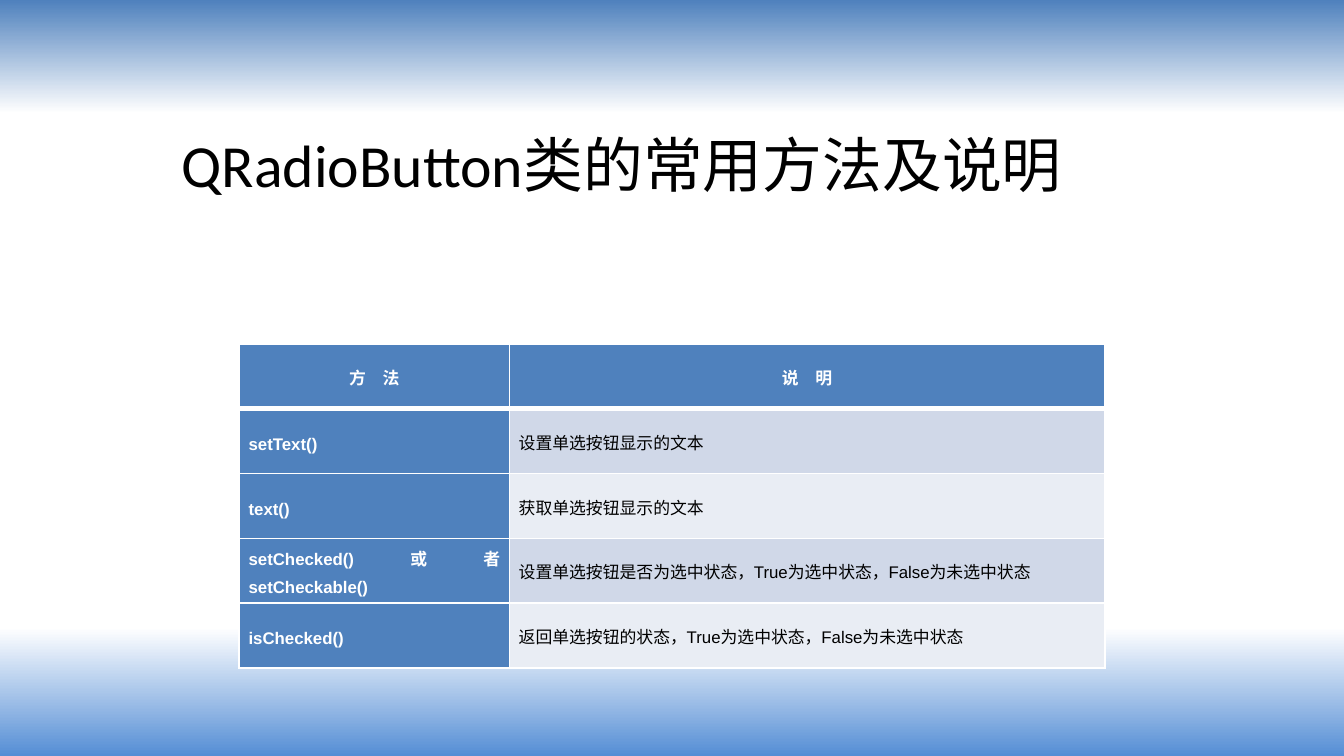
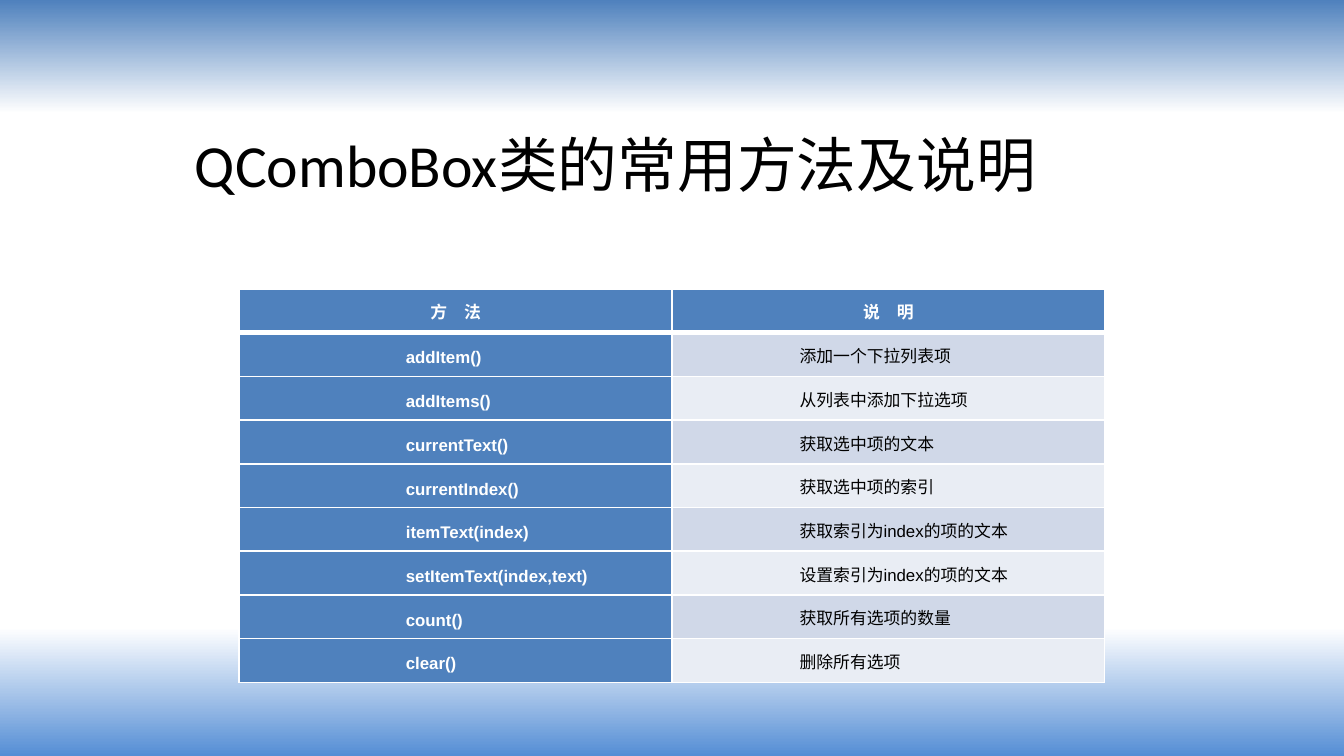
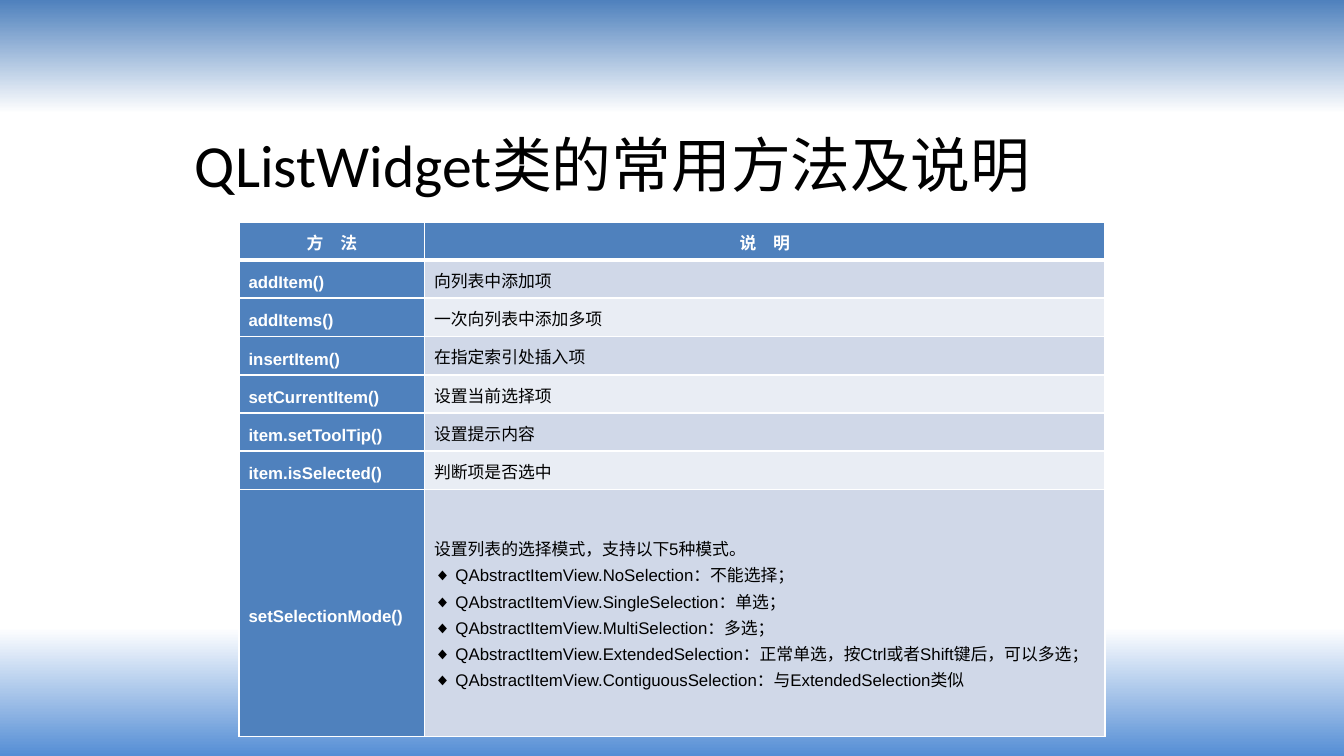
from lxml.etree import SubElement
from pptx import Presentation
from pptx.dml.color import RGBColor
from pptx.enum.text import MSO_ANCHOR, MSO_AUTO_SIZE, PP_ALIGN
from pptx.oxml.ns import qn
from pptx.util import Inches, Pt

BLUE = RGBColor(0x4F, 0x81, 0xBD)
BRIGHT_BLUE = RGBColor(0x55, 0x8E, 0xD5)
BAND_DARK = RGBColor(0xD0, 0xD8, 0xE8)
BAND_LIGHT = RGBColor(0xE9, 0xED, 0xF4)
WHITE = RGBColor(0xFF, 0xFF, 0xFF)
BLACK = RGBColor(0x00, 0x00, 0x00)

SLIDE_WIDTH = Inches(10)
SLIDE_HEIGHT = SLIDE_WIDTH * 9 // 16
BACKGROUND_STOPS = [(0, BLUE), (15, WHITE), (83, WHITE), (100, BRIGHT_BLUE)]
TITLE_LEFT, TITLE_TOP, TITLE_HEIGHT = 1.25, 0.9, 0.67
TABLE_LEFT, TABLE_WIDTH = 1.78, 6.44
HEADER = ("方　法", "说　明")

RADIO_METHODS = [
    ("setText()", "设置单选按钮显示的文本"),
    ("text()", "获取单选按钮显示的文本"),
    ("setChecked()或者setCheckable()",
     "设置单选按钮是否为选中状态，True为选中状态，False为未选中状态"),
    ("isChecked()", "返回单选按钮的状态，True为选中状态，False为未选中状态"),
]
COMBO_METHODS = [
    ("addItem()", "添加一个下拉列表项"),
    ("addItems()", "从列表中添加下拉选项"),
    ("currentText()", "获取选中项的文本"),
    ("currentIndex()", "获取选中项的索引"),
    ("itemText(index)", "获取索引为index的项的文本"),
    ("setItemText(index,text)", "设置索引为index的项的文本"),
    ("count()", "获取所有选项的数量"),
    ("clear()", "删除所有选项"),
]
SELECTION_MODES = [
    "◆ QAbstractItemView.NoSelection：不能选择；",
    "◆ QAbstractItemView.SingleSelection：单选；",
    "◆ QAbstractItemView.MultiSelection：多选；",
    "◆ QAbstractItemView.ExtendedSelection：正常单选，按Ctrl或者Shift键后，可以多选；",
    "◆ QAbstractItemView.ContiguousSelection：与ExtendedSelection类似",
]
LIST_METHODS = [
    ("addItem()", "向列表中添加项"),
    ("addItems()", "一次向列表中添加多项"),
    ("insertItem()", "在指定索引处插入项"),
    ("setCurrentItem()", "设置当前选择项"),
    ("item.setToolTip()", "设置提示内容"),
    ("item.isSelected()", "判断项是否选中"),
    ("setSelectionMode()", "设置列表的选择模式，支持以下5种模式。"),
]


def set_background(master):
    """Give the master a top-to-bottom gradient that all slides inherit."""
    fill = master.background.fill
    fill.gradient()
    fill.gradient_angle = 270
    stops = master.element.find(".//" + qn("a:gsLst"))
    for stop in list(stops):
        stops.remove(stop)
    for percent, color in BACKGROUND_STOPS:
        stop = SubElement(stops, qn("a:gs"), pos=str(percent * 1000))
        SubElement(stop, qn("a:srgbClr"), val=str(color))


def write(p, text, size=9, font="Arial", color=BLACK, bold=False,
          align=PP_ALIGN.JUSTIFY, spacing=Pt(14), indent=0):
    if indent:
        pPr = p._p.get_or_add_pPr()
        pPr.set("marL", str(Inches(indent)))
        pPr.set("indent", "0")
    p.alignment = align
    if spacing:
        p.line_spacing = spacing
    r = p.add_run()
    r.text = text
    r.font.size, r.font.name, r.font.bold = Pt(size), font, bold
    r.font.color.rgb = color


def add_title_slide(prs, title, width=7.33, indent=0):
    s = prs.slides.add_slide(prs.slide_layouts[5])
    sp = s.shapes.title
    sp.left, sp.top = Inches(TITLE_LEFT), Inches(TITLE_TOP)
    sp.width, sp.height = Inches(width), Inches(TITLE_HEIGHT)
    tf = sp.text_frame
    tf.word_wrap, tf.auto_size = True, MSO_AUTO_SIZE.NONE
    tf.vertical_anchor = MSO_ANCHOR.TOP
    write(tf.paragraphs[0], title, size=32, font="Calibri",
          align=PP_ALIGN.LEFT, spacing=None, indent=indent)
    return s


def set_borders(cell, top=1, bottom=1):
    tcPr = cell._tc.get_or_add_tcPr()
    for side, points in zip("LRTB", (1, 1, top, bottom)):
        line = SubElement(tcPr, qn("a:ln" + side), w=str(Pt(points)))
        fill = SubElement(line, qn("a:solidFill"))
        SubElement(fill, qn("a:srgbClr"), val=str(WHITE))


def format_cell(cell, row, col):
    set_borders(cell, top=3 if row == 1 else 1, bottom=3 if row == 0 else 1)
    cell.margin_left = cell.margin_right = Inches(0.07)
    cell.margin_top = cell.margin_bottom = 0
    cell.vertical_anchor = MSO_ANCHOR.MIDDLE
    cell.fill.solid()
    if row == 0 or col == 0:
        cell.fill.fore_color.rgb = BLUE
    else:
        cell.fill.fore_color.rgb = BAND_DARK if row % 2 else BAND_LIGHT


def add_method_table(s, methods, top, height, name_width,
                     last_row=1, indents=(0, 0)):
    """Add a method table; last_row is the last row's height in plain rows."""
    rows = [HEADER] + methods
    table = s.shapes.add_table(len(rows), 2, Inches(TABLE_LEFT), Inches(top),
                               Inches(TABLE_WIDTH), Inches(height)).table
    table.horz_banding = False
    for column, width in zip(table.columns,
                             (name_width, TABLE_WIDTH - name_width)):
        column.width = Inches(width)
    row_height = height / (len(methods) + last_row)
    for i, texts in enumerate(rows):
        scale = last_row if i == len(methods) else 1
        table.rows[i].height = Inches(row_height * scale)
        for j, text in enumerate(texts):
            cell = table.cell(i, j)
            format_cell(cell, i, j)
            strong = i == 0 or j == 0
            write(cell.text_frame.paragraphs[0], text, bold=strong,
                  color=WHITE if strong else BLACK,
                  align=PP_ALIGN.JUSTIFY if i else PP_ALIGN.CENTER,
                  indent=indents[j] if i else 0)
    return table


def main():
    prs = Presentation()
    prs.slide_width, prs.slide_height = SLIDE_WIDTH, SLIDE_HEIGHT
    set_background(prs.slide_master)

    s = add_title_slide(prs, "QRadioButton类的常用方法及说明")
    add_method_table(s, RADIO_METHODS, 2.56, 2.41, 2.01)

    s = add_title_slide(prs, "QComboBox类的常用方法及说明",
                        width=7.17, indent=0.1)
    add_method_table(s, COMBO_METHODS, 2.15, 2.93, TABLE_WIDTH / 2,
                     indents=(1.17, 0.88))

    s = add_title_slide(prs, "QListWidget类的常用方法及说明", indent=0.1)
    table = add_method_table(s, LIST_METHODS, 1.65, 3.83, 1.38, last_row=6.45)
    modes = table.cell(len(LIST_METHODS), 1).text_frame
    for mode in SELECTION_MODES:
        write(modes.add_paragraph(), mode)

    prs.save("out.pptx")


if __name__ == "__main__":
    main()
